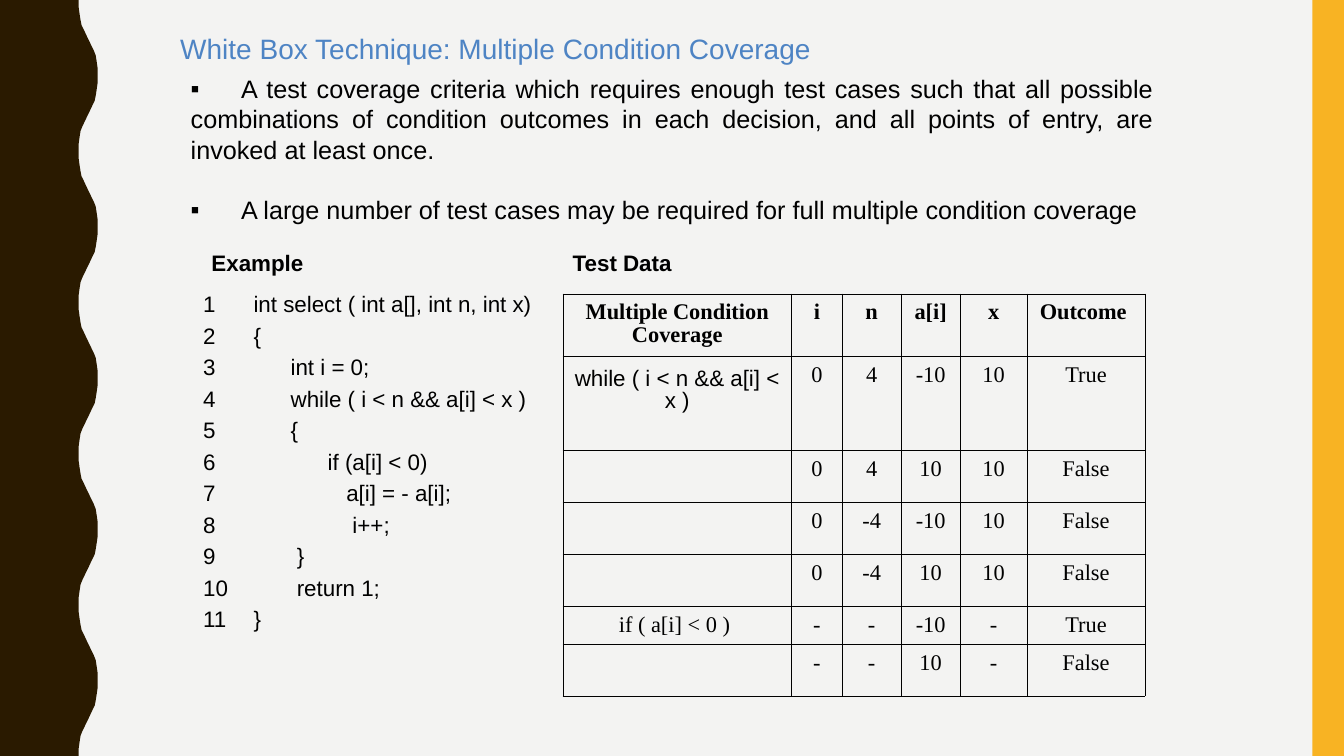
from dataclasses import dataclass, field
from typing import Any

from lxml.etree import SubElement
from pptx import Presentation
from pptx.dml.color import RGBColor
from pptx.enum.shapes import MSO_SHAPE
from pptx.enum.text import MSO_ANCHOR, MSO_AUTO_SIZE, PP_ALIGN
from pptx.oxml.ns import qn
from pptx.util import Pt

BLACK = RGBColor(0x00, 0x00, 0x00)
BLUE = RGBColor(0x4E, 0x84, 0xC4)
BROWN = RGBColor(0x2A, 0x1A, 0x00)
GOLD = RGBColor(0xF8, 0xB3, 0x23)
PALE = RGBColor(0xF3, 0xF3, 0xF2)

SANS = "Arial"
SERIF = "Times New Roman"
WIDE, HIGH = 960, 540
CREST = 54
CURVE = [
    (56.2, 0), (56.2, 5), (56.9, 10), (57.6, 14.5), (58.3, 18),
    (59.8, 21), (61.2, 24), (62.6, 27), (64.1, 30), (65.5, 33),
    (67, 36), (68.4, 39.5), (69.1, 44), (69.8, 49),
]

TITLE = {"name": SANS, "size": Pt(20), "bold": False, "color": BLUE}
BODY = {"name": SANS, "size": Pt(18), "bold": False, "color": BLACK}
CODE = BODY | {"size": Pt(16)}
HEAD = CODE | {"bold": True}
CELL = CODE | {"name": SERIF}

POINTS = [
    "\tA test coverage criteria which requires enough test cases such that all "
    "possible combinations of condition outcomes in each decision, and all "
    "points of entry, are invoked at least once.",
    "\tA large number of test cases may be required for full multiple "
    "condition coverage",
]
LINES = [
    "1\tint select ( int a[], int n, int x)",
    "2\t{",
    "3\t      int i = 0;",
    "4\t      while ( i < n && a[i] < x )",
    "5\t      {",
    "6\t            if (a[i] < 0)",
    "7\t               a[i] = - a[i];",
    "8\t                i++;",
    "9\t       }",
    "10\t       return 1;",
    "11\t}",
]
WIDTHS = [163.5, 36, 42.3, 42, 48, 84]
HEIGHTS = [44.5, 67.5, 37.1, 37.1, 37.1, 27, 37.1]
ROWS = [
    ["Multiple Condition Coverage", "i", "n", "a[i]", "x", "Outcome "],
    ["while ( i < n && a[i] < x )", "0", "4", "-10", "10", "True"],
    ["", "0", "4", "10", "10", "False"],
    ["", "0", "-4", "-10", "10", "False"],
    ["", "0", "-4", "10", "10", "False"],
    ["if ( a[i] < 0 ) ", "-", "-", "-10", "-", "True"],
    ["", "-", "-", "10", "-", "False"],
]


@dataclass
class Block:
    left: float
    top: float
    width: float
    height: float
    lines: list[str]
    font: dict[str, Any]
    para: dict[str, Any] = field(default_factory=dict)
    gap: float = 0
    tab: float = 0
    mark: str = ""
    anchor: Any = MSO_ANCHOR.TOP
    wrap: bool = True


def assign(item: Any, values: dict[str, Any]) -> None:
    for key, value in values.items():
        if key == "color":
            item.color.rgb = value
        else:
            setattr(item, key, value)


def write(para: Any, text: str, font: dict[str, Any]) -> None:
    run = para.add_run()
    run.text = text
    assign(run.font, font)


def indent(para: Any, mark: str, tab: float) -> None:
    props = para._p.get_or_add_pPr()
    if mark:
        props.set("marL", "0")
        props.set("indent", "0")
        SubElement(props, qn("a:buFont"), typeface=SANS)
        SubElement(props, qn("a:buChar"), char=mark)
    if tab:
        stops = SubElement(props, qn("a:tabLst"))
        SubElement(stops, qn("a:tab"), pos=str(Pt(tab)), algn="l")


def fill_text(shape: Any, block: Block) -> None:
    assign(shape, {
        "left": Pt(block.left), "top": Pt(block.top),
        "width": Pt(block.width), "height": Pt(block.height),
    })
    frame = shape.text_frame
    assign(frame, {
        "word_wrap": block.wrap, "auto_size": MSO_AUTO_SIZE.NONE,
        "vertical_anchor": block.anchor,
        "margin_left": Pt(7.2), "margin_right": Pt(7.2),
        "margin_top": Pt(3.6), "margin_bottom": Pt(3.6),
    })
    for index, text in enumerate(block.lines):
        para = frame.add_paragraph() if index else frame.paragraphs[0]
        indent(para, block.mark, block.tab)
        assign(para, block.para)
        para.space_before = Pt(block.gap if index else 0)
        write(para, text, block.font)


def paint(shape: Any, color: RGBColor) -> None:
    shape.shadow.inherit = False
    shape.fill.solid()
    shape.fill.fore_color.rgb = color
    shape.line.fill.background()


def draw_wave(shapes: Any) -> None:
    edge = [
        (Pt(126 - x if half % 2 else x), Pt(half * CREST + y))
        for half in range(HIGH // CREST) for x, y in CURVE
    ]
    edge += [(Pt(CURVE[0][0]), Pt(HIGH)), (0, Pt(HIGH))]
    path = shapes.build_freeform(0, 0, scale=1.0)
    path.add_line_segments(edge, close=True)
    paint(path.convert_to_shape(), BROWN)


def border(cell: Any) -> None:
    props = cell._tc.get_or_add_tcPr()
    for index, side in enumerate(("lnL", "lnR", "lnT", "lnB")):
        line = props.makeelement(qn(f"a:{side}"), {"w": str(Pt(0.45))})
        solid = SubElement(line, qn("a:solidFill"))
        SubElement(solid, qn("a:srgbClr"), val=str(BLACK))
        props.insert(index, line)


def draw_grid(shapes: Any) -> None:
    grid = shapes.add_table(
        len(ROWS), len(WIDTHS), Pt(402), Pt(210),
        Pt(sum(WIDTHS)), Pt(sum(HEIGHTS)),
    ).table
    assign(grid, {"first_row": False, "horz_banding": False})
    for column, width in zip(grid.columns, WIDTHS):
        column.width = Pt(width)
    for r, (row, height) in enumerate(zip(grid.rows, HEIGHTS)):
        row.height = Pt(height)
        for c, cell in enumerate(row.cells):
            loop = (r, c) == (1, 0)
            cell.fill.background()
            border(cell)
            assign(cell, {
                "margin_left": Pt(7.2), "margin_right": Pt(7.2),
                "margin_top": Pt(8.6 if loop else 5.8),
                "margin_bottom": Pt(3.6),
            })
            if ROWS[r][c]:
                para = cell.text_frame.paragraphs[0]
                assign(para, {"alignment": PP_ALIGN.CENTER, "line_spacing": 0.9})
                font = CODE if loop else CELL | {"bold": r == 0}
                write(para, ROWS[r][c], font)


def main() -> None:
    deck = Presentation()
    assign(deck, {"slide_width": Pt(WIDE), "slide_height": Pt(HIGH)})
    slide = deck.slides.add_slide(deck.slide_layouts[1])
    slide.background.fill.solid()
    slide.background.fill.fore_color.rgb = PALE
    shapes = slide.shapes
    draw_wave(shapes)
    band = shapes.add_shape(
        MSO_SHAPE.RECTANGLE, Pt(937.5), 0, Pt(22.5), Pt(HIGH))
    paint(band, GOLD)

    fill_text(shapes.title, Block(
        121.5, 19.5, 533.5, 30, ["White Box Technique: Multiple Condition Coverage"],
        TITLE, {"alignment": PP_ALIGN.LEFT}, anchor=MSO_ANCHOR.MIDDLE))
    fill_text(slide.placeholders[1], Block(
        129, 48, 702, 117, POINTS, BODY,
        {"alignment": PP_ALIGN.JUSTIFY, "line_spacing": 1.0},
        gap=21.6, tab=36, mark="▪", anchor=MSO_ANCHOR.MIDDLE))
    for block in (
        Block(144, 174.5, 81, 26.5, ["Example"], HEAD, wrap=False),
        Block(138, 210, 264, 247.5, LINES, CODE,
              {"line_spacing": 0.65}, gap=10, tab=36),
        Block(402, 174.5, 90, 26.5, ["Test Data"], HEAD),
    ):
        fill_text(shapes.add_textbox(0, 0, 0, 0), block)
    draw_grid(shapes)
    deck.save("out.pptx")


if __name__ == "__main__":
    main()
